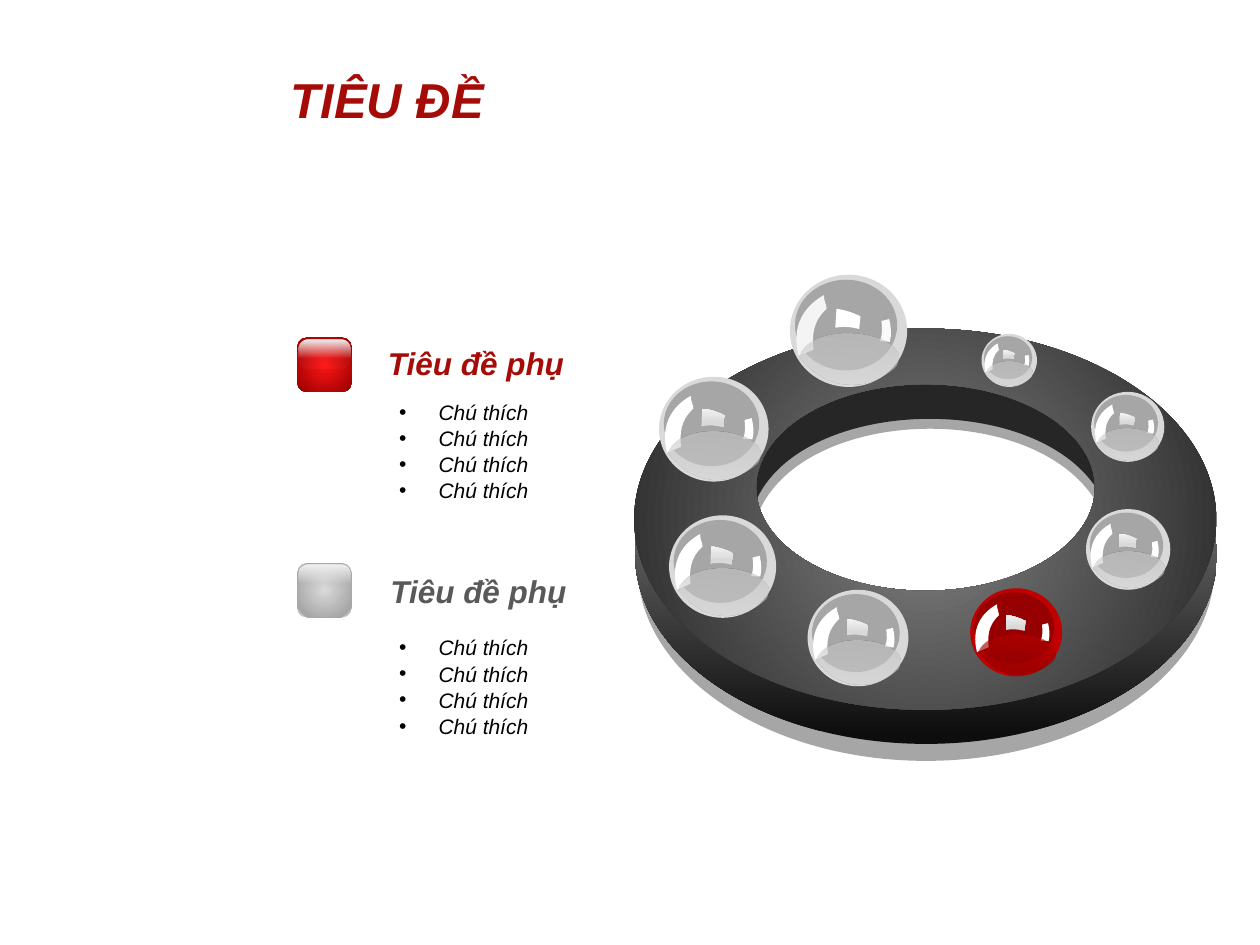
from lxml import etree
from pptx import Presentation
from pptx import util as u
from pptx.dml import color
from pptx.enum import shapes, text
from pptx.oxml import ns

# Content
TITLE = "TIÊU ĐỀ"
# heading, style, heading left, heading top, button top, notes top, notes
TOPICS = [
    ("Tiêu đề phụ", "red", 214.6, 193, 193, 224.6, ["Chú thích"] * 4),
    ("Tiêu đề phụ", "grey", 216, 323.3, 321.8, 359.3, ["Chú thích"] * 4),
]
# left, top, width, style
SPHERES = [
    (376.6, 215.3, 62.6, "grey"), (451.4, 157, 67, "bright"),
    (382.3, 294.5, 61.2, "grey"), (461.5, 337, 57.6, "grey"),
    (554.4, 336.2, 52.6, "red"), (620.6, 290.9, 48.2, "grey"),
    (623.5, 223.9, 41.8, "grey"), (560.9, 190.8, 31.7, "grey"),
]

# Theme: a fill is a colour or (stops, angle); angle None is a circular gradient
WINDOW = ([(26, "D9D9D9"), (98, "F2F2F2")], 270)
GREY = {
    "rim": "D9D9D9", "core": "A6A6A6", "left glint": "FFFFFF",
    "window": WINDOW, "right glint": "FFFFFF",
    "base": ([(0, "D9D9D9", 45), (98, "BFBFBF", 63)], 270),
    "heading": "595959",
    "button": ([(0, "D9D9D9"), (81, "A6A6A6"), (86, "BFBFBF")], None),
}
THEME = {
    "font": "Arial", "title": 28, "heading": 18, "note": 12,
    "accent": "A50C07", "ink": "000000",
    "gloss": ([(0, "F2F2F2"), (65, "FFFFFF", 3)], 90),
    "shadow": "A6A6A6", "under": "C7C7C7", "lip": "262626",
    "side": ([(2, "0D0D0D"), (99, "A6A6A6")], 270),
    "top": ([(0, "808080"), (100, "262626")], None),
    "grey": GREY,
    "bright": GREY | {"left glint": "F4F4F4", "window": "FFFFFF",
                      "right glint": "FAFAFA"},
    "red": GREY | {"rim": "C00000", "core": "960000",
                   "base": ([(1, "820000", 65), (100, "C00000", 62)], 270),
                   "heading": "A50C07",
                   "button": ([(0, "FF1515"), (100, "960000")], None)},
}

# Outlines: a start point, then lines (2 numbers) and cubic curves (6 numbers)
LIP_SHADOW = [(430.6, 232.6), (481.7, 212.4, 612, 182.9, 630, 293.8),
              (600.5, 225.4, 447.8, 229.7, 430.6, 301.7),
              (432, 280.8, 429.1, 253.4, 430.6, 232.6)]
LIP = [(429.8, 227.5), (481, 207.4, 612.7, 178.6, 630.7, 286.6),
       (600.5, 220.3, 447.1, 224.6, 429.1, 294.5),
       (431.3, 274.3, 428.4, 247.7, 429.8, 227.5)]
# Sphere parts on a sphere 93 wide and 89 high
SPHERE_WIDTH = 93
SPHERE_DISCS = [("rim", (0, 0, 93, 89)), ("core", (4, 4, 81, 72))]
SPHERE_LIGHTS = [
    ("left glint", 16.1, [(20, 14), (21, 19, 24, 20, 25, 24), (17, 37, 20, 48, 24, 58),
                          (14, 66), (1, 44, 8, 26, 20, 14)]),
    ("window", 0, [(37, 27), (44, 28, 50, 30, 56, 33), (55, 43),
                   (47, 41, 42, 41, 36, 42)]),
    ("right glint", 4.6, [(72, 37), (78, 35), (80, 41, 81, 47, 80, 53), (72, 53),
                          (74, 47, 73, 43, 72, 37)]),
    ("base", 4.6, [(8, 68), (16, 36, 99, 42, 84, 70), (70, 86, 37, 99, 8, 68)]),
]
# Ring parts: fill, outer ellipse and hole as centre x, centre y, radius x, radius y
SHADOW_RING = ("shadow", (529.2, 323.6, 164.9, 111.2), (529.2, 285.5, 115.2, 72.4))
UNDER_RING = ("under", (528.8, 303.8, 164.9, 110.9), (529.2, 285.1, 96.5, 60.5))
SIDE_RING = ("side", (529.2, 316.2, 166.3, 108.9), (529.2, 278.6, 115.9, 70.6))
TOP_RING = ("top", (528.7, 296.7, 166.3, 108.9), (528.9, 278.6, 96.8, 59))


def paint(shape, fill):
    shape.shadow.inherit = False
    shape.line.fill.background()
    if isinstance(fill, str):
        shape.fill.solid()
        shape.fill.fore_color.rgb = color.RGBColor.from_string(fill)
        return
    stops, angle = fill
    shape.fill.gradient()
    gradient = shape._element.spPr.find(ns.qn("a:gradFill"))
    for child in list(gradient):
        gradient.remove(child)
    stop_list = etree.SubElement(gradient, ns.qn("a:gsLst"))
    for place, value, *alpha in stops:
        stop = etree.SubElement(stop_list, ns.qn("a:gs"), pos=str(place * 1000))
        tint = etree.SubElement(stop, ns.qn("a:srgbClr"), val=value)
        for share in alpha:
            etree.SubElement(tint, ns.qn("a:alpha"), val=str(share * 1000))
    if angle is None:
        circle = etree.SubElement(gradient, ns.qn("a:path"), {"path": "circle"})
        etree.SubElement(circle, ns.qn("a:fillToRect"),
                         dict.fromkeys("ltrb", "50000"))
    else:
        etree.SubElement(gradient, ns.qn("a:lin"), ang=str(angle * 60000), scaled="0")


def add_preset(parent, kind, frame, fill):
    shape = parent.shapes.add_shape(kind, *map(u.Pt, frame))
    paint(shape, fill)
    return shape


def pairs(segment):
    return list(zip(segment[::2], segment[1::2]))


def flatten(outline, steps=8):
    points = [outline[0]]
    for segment in outline[1:]:
        if len(segment) == 2:
            points.append(segment)
            continue
        knots = [points[-1], *pairs(segment)]
        for step in range(1, steps + 1):
            t = step / steps
            weights = ((1 - t) ** 3, 3 * t * (1 - t) ** 2, 3 * t * t * (1 - t), t ** 3)
            points.append(tuple(sum(w * knot[axis] for w, knot in zip(weights, knots))
                                for axis in (0, 1)))
    return points


def ellipse(x, y, radius_x, radius_y, bend=0.5523):
    outline = [(x + radius_x, y)]
    for a, b in [(1, 0), (0, 1), (-1, 0), (0, -1)]:
        turns = [(a - b * bend, b + a * bend), (a * bend - b, b * bend + a), (-b, a)]
        outline.append(tuple(value for p, q in turns
                             for value in (x + radius_x * p, y + radius_y * q)))
    return outline


def add_outline(parent, outlines, fill, rotation=0):
    # The flattened outline sets the frame; true curves then replace its lines
    contours = [[(u.Pt(x), u.Pt(y)) for x, y in flatten(line)] for line in outlines]
    builder = parent.shapes.build_freeform(*contours[0][0])
    for index, points in enumerate(contours):
        if index:
            builder.move_to(*points[0])
        builder.add_line_segments(points[1:], close=True)
    shape = builder.convert_to_shape()
    left, top = shape.left, shape.top
    drawing = next(shape._element.iter(ns.qn("a:path")))
    for child in list(drawing):
        drawing.remove(child)
    for outline in outlines:
        for index, segment in enumerate(outline):
            tag = "cubicBezTo" if len(segment) == 6 else "lnTo" if index else "moveTo"
            step = etree.SubElement(drawing, ns.qn("a:" + tag))
            for x, y in pairs(segment):
                etree.SubElement(step, ns.qn("a:pt"), x=str(u.Pt(x) - left),
                                 y=str(u.Pt(y) - top))
        etree.SubElement(drawing, ns.qn("a:close"))
    shape.rotation = rotation
    paint(shape, fill)


def add_ring(fill, outer, hole):
    add_outline(page, [ellipse(*hole), ellipse(*outer)], THEME[fill])


def write(box, lines, size, ink, bold=False, bullets=False, wrap=True):
    frame = box.text_frame
    frame.word_wrap = wrap
    frame.auto_size = text.MSO_AUTO_SIZE.NONE
    frame.vertical_anchor = text.MSO_ANCHOR.TOP
    for index, line in enumerate(lines):
        para = frame.add_paragraph() if index else frame.paragraphs[0]
        para.alignment = text.PP_ALIGN.LEFT
        span = para.add_run()
        span.text = line
        span.font.name, span.font.size = THEME["font"], u.Pt(size)
        span.font.bold, span.font.italic = bold, True
        span.font.color.rgb = color.RGBColor.from_string(ink)
        if bullets:
            para.space_before = u.Pt(0.5)
            props = para._p.get_or_add_pPr()
            props.set("marL", str(u.Pt(22.5)))
            props.set("indent", str(u.Pt(-22.5)))
            etree.SubElement(props, ns.qn("a:buFont"), typeface=THEME["font"])
            etree.SubElement(props, ns.qn("a:buChar"), char="•")


deck = Presentation()
deck.slide_width, deck.slide_height = u.Pt(720), u.Pt(540)
page = deck.slides.add_slide(deck.slide_layouts[5])

# Title
title = page.shapes.title
title.left, title.top, title.width, title.height = map(u.Pt, (159, 36, 134, 41))
write(title, [TITLE], THEME["title"], THEME["accent"], bold=True, wrap=False)

# Ring, from back to front
add_outline(page, [LIP_SHADOW], THEME["shadow"])
add_ring(*SHADOW_RING)
add_ring(*UNDER_RING)
add_outline(page, [LIP], THEME["lip"])
add_ring(*SIDE_RING)
add_ring(*TOP_RING)

# Glass spheres
for left, top, width, style in SPHERES:
    scale = width / SPHERE_WIDTH
    for part, (x, y, w, h) in SPHERE_DISCS:
        add_preset(page, shapes.MSO_SHAPE.OVAL,
                   (left + x * scale, top + y * scale, w * scale, h * scale),
                   THEME[style][part])
    for part, rotation, outline in SPHERE_LIGHTS:
        placed = [tuple((left, top)[i % 2] + value * scale
                        for i, value in enumerate(segment)) for segment in outline]
        add_outline(page, [placed], THEME[style][part], rotation)

# Topics with glossy buttons
rounded = shapes.MSO_SHAPE.ROUNDED_RECTANGLE
for heading, style, left, top, button_top, notes_top, notes in TOPICS:
    add_preset(page, rounded, (169.9, button_top, 31, 31), THEME[style]["button"])
    gloss = add_preset(page, rounded, (170.6, button_top + 1, 29.5, 16.6),
                       THEME["gloss"])
    gloss.adjustments[0] = 0.33
    box = page.shapes.add_textbox(*map(u.Pt, (left, top, 157, 29)))
    write(box, [heading], THEME["heading"], THEME[style]["heading"], bold=True)
    box = page.shapes.add_textbox(*map(u.Pt, (221, notes_top, 143.3, 65.5)))
    write(box, notes, THEME["note"], THEME["ink"], bullets=True)

deck.save("out.pptx")
